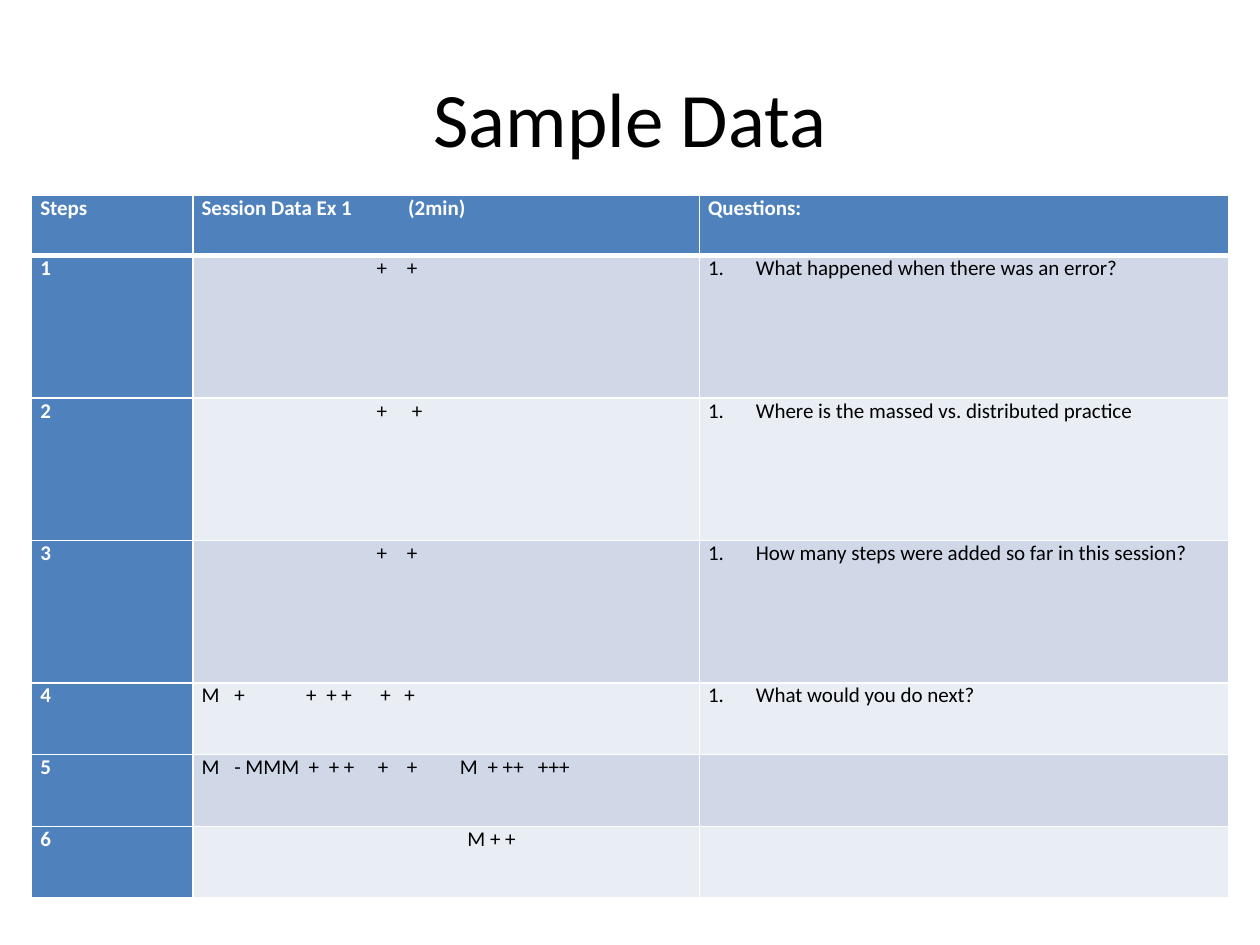
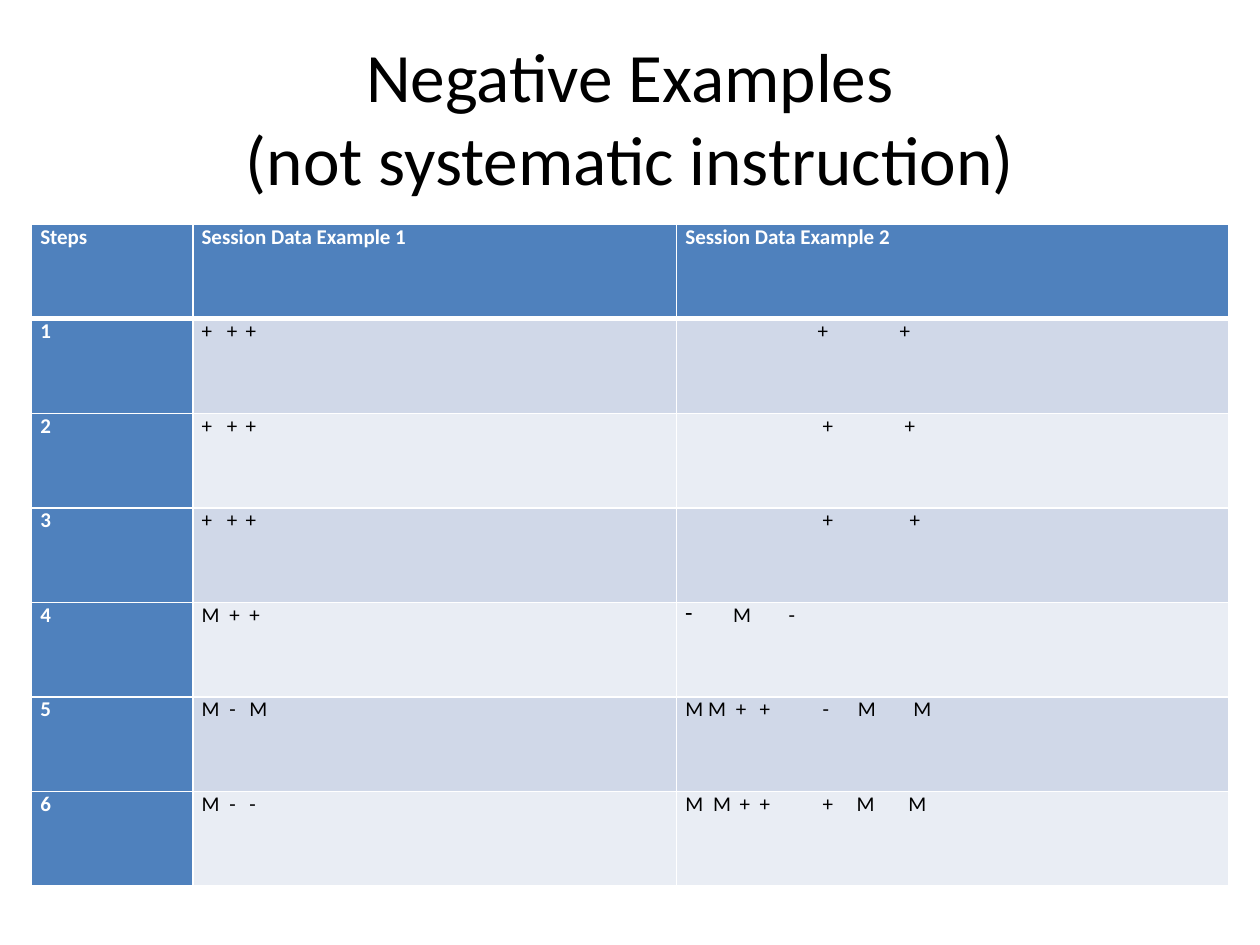
from pptx import Presentation
from pptx.dml.color import RGBColor as RGB
from pptx.enum.text import MSO_ANCHOR as ANCHOR, MSO_AUTO_SIZE as FIT, PP_ALIGN as ALIGN
from pptx.oxml.ns import qn
from pptx.util import Inches, Pt
from lxml.etree import SubElement

COLORS = {
    "text": "000000",
    "white": "FFFFFF",
    "header": "4F81BD",
    "band_dark": "D0D8E8",
    "band_light": "E9EDF4",
}
FONT = "Calibri"
TABLE_LEFT = 0.25
STEPS_WIDTH = 1.28
HANG = 0.38

# A cell is plain text, or a list of (offset in inches, text) marks set on tab stops.
# Bullets are keyed by (row, column).
slides = [
    {
        "title": "Sample Data", "size": 44, "top": 1.55,
        "widths": [4.02, 4.2],
        "heights": [0.48] + [1.13] * 3 + [0.57] * 3,
        "bullets": {(row, 2): "1." for row in range(1, 5)},
        "rows": [
            [[(0, "Session Data Ex 1"), (1.64, "(2min)")], "Questions:"],
            [[(1.39, "+"), (1.63, "+")], "What happened when there was an error?"],
            [[(1.39, "+"), (1.67, "+")], "Where is the massed vs. distributed practice"],
            [[(1.39, "+"), (1.63, "+")], "How many steps were added so far in this session?"],
            [[(0, "M"), (0.26, "+"), (0.83, "+"), (0.99, "+ +"), (1.42, "+"), (1.61, "+")],
             "What would you do next?"],
            [[(0, "M"), (0.26, "- MMM"), (0.85, "+"), (1.01, "+ +"), (1.4, "+"),
              (1.63, "+"), (2.05, "M"), (2.27, "+ ++"), (2.67, "+++")], ""],
            [[(2.11, "M + +")], ""],
        ],
    },
    {
        "title": "Negative Examples\v(not systematic instruction)", "size": 39.6, "top": 1.78,
        "widths": [3.84, 4.38],
        "heights": [0.75] * 7,
        "bullets": {(4, 2): "-"},
        "rows": [
            ["Session Data Example 1", "Session Data Example 2"],
            [[(0, "+"), (0.2, "+"), (0.35, "+")], [(1.05, "+"), (1.7, "+")]],
            [[(0, "+"), (0.2, "+"), (0.35, "+")], [(1.09, "+"), (1.74, "+")]],
            [[(0, "+"), (0.2, "+"), (0.35, "+")], [(1.09, "+"), (1.78, "+")]],
            [[(0, "M"), (0.22, "+"), (0.38, "+")], [(0, "M"), (0.82, "-")]],
            [[(0, "M"), (0.22, "-"), (0.38, "M")],
             [(0, "M M"), (0.4, "+"), (0.59, "+"), (1.09, "-"), (1.37, "M"), (1.81, "M")]],
            [[(0, "M"), (0.22, "-"), (0.38, "-")],
             [(0, "M"), (0.22, "M"), (0.43, "+"), (0.59, "+"), (1.09, "+"),
              (1.36, "M"), (1.77, "M")]],
        ],
    },
]


def set_borders(cell, row):
    """White cell borders, with a heavy rule under the header row."""
    tcPr = cell._tc.get_or_add_tcPr()
    widths = {"L": 1, "R": 1, "T": 3 if row == 1 else 1, "B": 3 if row == 0 else 1}
    for side, width in widths.items():
        ln = SubElement(tcPr, qn(f"a:ln{side}"), w=str(Pt(width)))
        fill = SubElement(ln, qn("a:solidFill"))
        SubElement(fill, qn("a:srgbClr"), val=COLORS["white"])


def write_cell(p, content, bullet, color, bold):
    """Write plain or tabbed text, with an optional hanging bullet."""
    pPr = p._p.get_or_add_pPr()
    if bullet:
        pPr.set("marL", str(Inches(HANG)))
        pPr.set("indent", str(-Inches(HANG)))
        if bullet == "1.":
            SubElement(pPr, qn("a:buAutoNum"), type="arabicPeriod")
        else:
            SubElement(pPr, qn("a:buChar"), char=bullet)
    if isinstance(content, list):
        tabs = SubElement(pPr, qn("a:tabLst"))
        for x, _ in content:
            if x:
                SubElement(tabs, qn("a:tab"), pos=str(Inches(x)), algn="l")
        content = "".join(("\t" if x else "") + mark for x, mark in content)
    r = p.add_run()
    r.text = content
    for name, value in {"name": FONT, "size": Pt(12), "bold": bold}.items():
        setattr(r.font, name, value)
    r.font.color.rgb = RGB.from_string(COLORS[color])


prs = Presentation()
prs.slide_width, prs.slide_height = Inches(10), Inches(7.5)

for data in slides:
    s = prs.slides.add_slide(prs.slide_layouts[5])

    # Title
    title = s.shapes.title
    place = {"left": 0.5, "top": 0.3, "width": 9, "height": 1.25}
    for name, value in place.items():
        setattr(title, name, Inches(value))
    tf = title.text_frame
    tf.text = data["title"]
    for name, value in {"auto_size": FIT.NONE, "vertical_anchor": ANCHOR.MIDDLE}.items():
        setattr(tf, name, value)
    p = tf.paragraphs[0]
    p.alignment = ALIGN.CENTER
    for r in p.runs:
        r.font.name, r.font.size = FONT, Pt(data["size"])
        r.font.color.rgb = RGB.from_string(COLORS["text"])

    # Table grid
    widths = [STEPS_WIDTH] + data["widths"]
    heights = data["heights"]
    table = s.shapes.add_table(
        len(heights), len(widths), Inches(TABLE_LEFT), Inches(data["top"]),
        Inches(sum(widths)), Inches(sum(heights))).table
    table.first_col = True
    for column, width in zip(table.columns, widths):
        column.width = Inches(width)
    for table_row, height in zip(table.rows, heights):
        table_row.height = Inches(height)

    # Cells: the first column numbers the steps
    for row, contents in enumerate(data["rows"]):
        step = str(row) if row else "Steps"
        for col, content in enumerate([step] + contents):
            cell = table.cell(row, col)
            heading = row == 0 or col == 0
            band = "band_dark" if row % 2 else "band_light"
            set_borders(cell, row)
            cell.fill.solid()
            cell.fill.fore_color.rgb = RGB.from_string(COLORS["header" if heading else band])
            margins = {"margin_left": 0.07, "margin_right": 0.07,
                       "margin_top": 0, "margin_bottom": 0}
            for name, value in margins.items():
                setattr(cell, name, Inches(value))
            if content:
                write_cell(cell.text_frame.paragraphs[0], content,
                           data["bullets"].get((row, col)),
                           "white" if heading else "text", heading)

prs.save("out.pptx")
